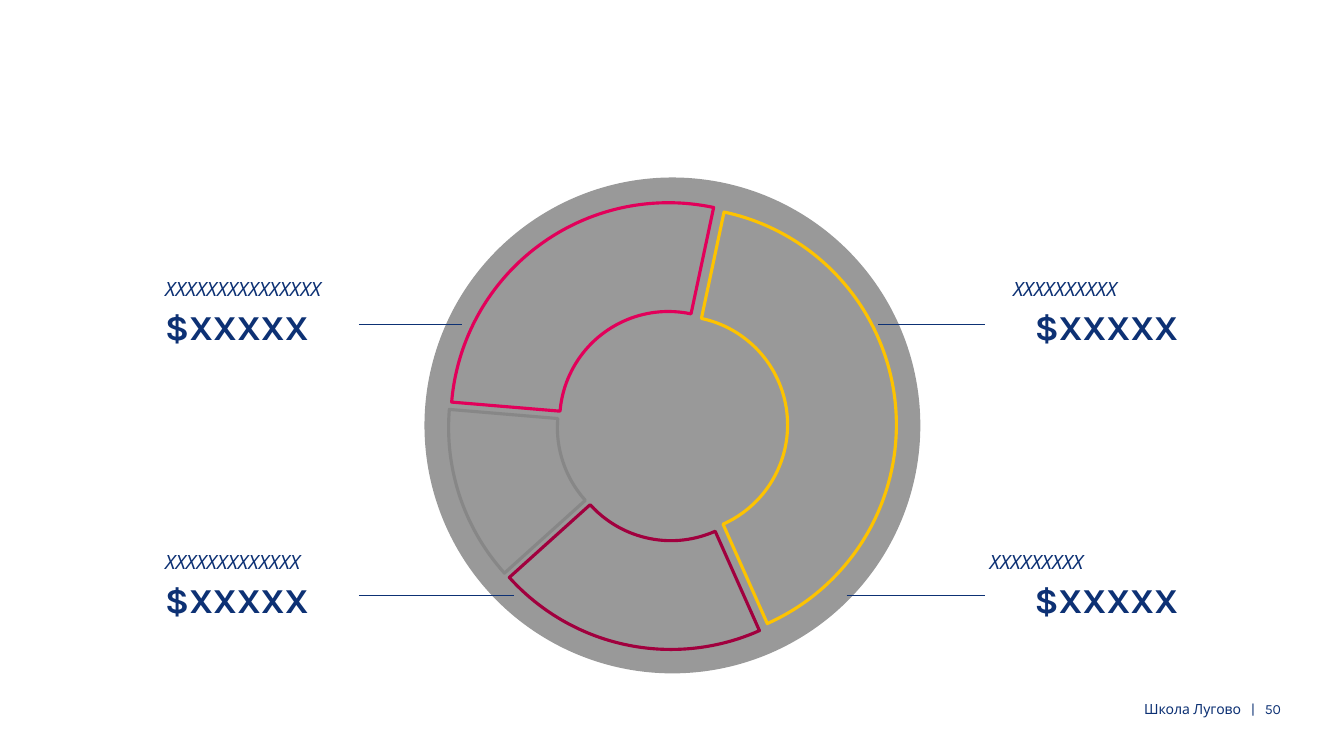
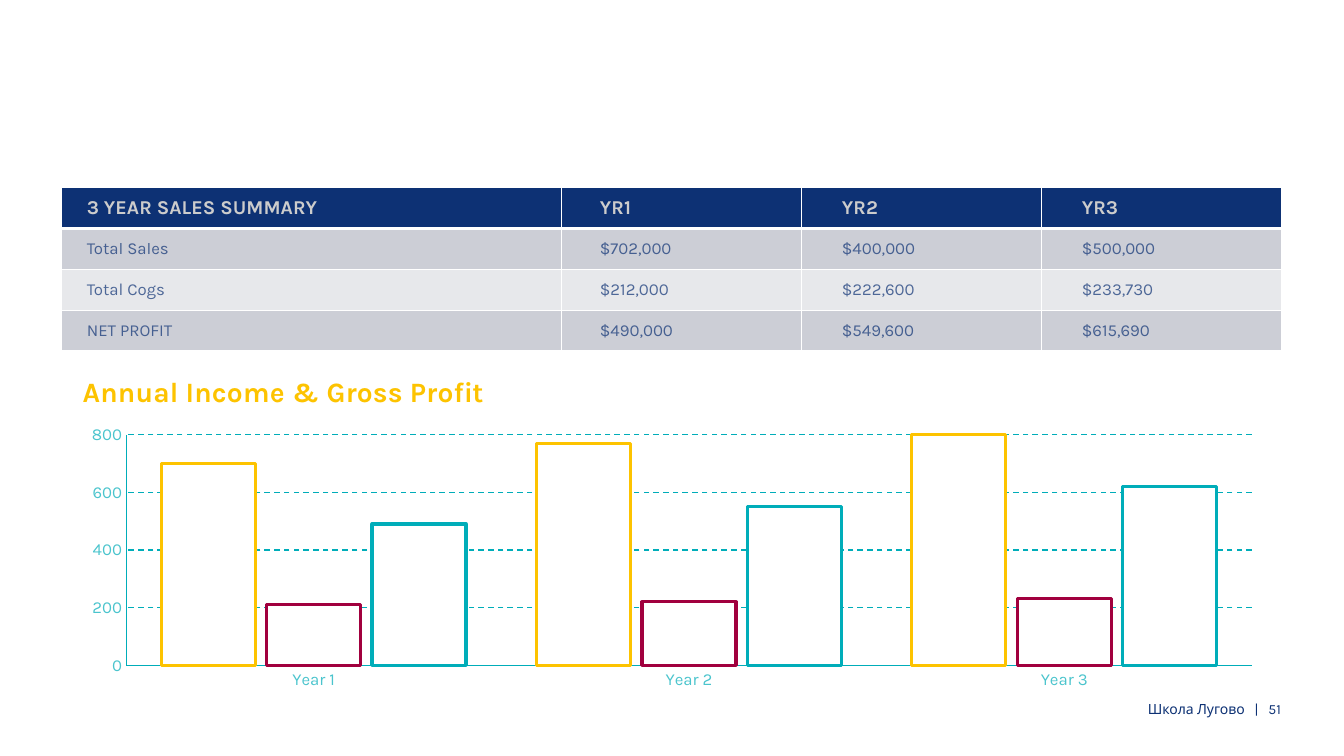
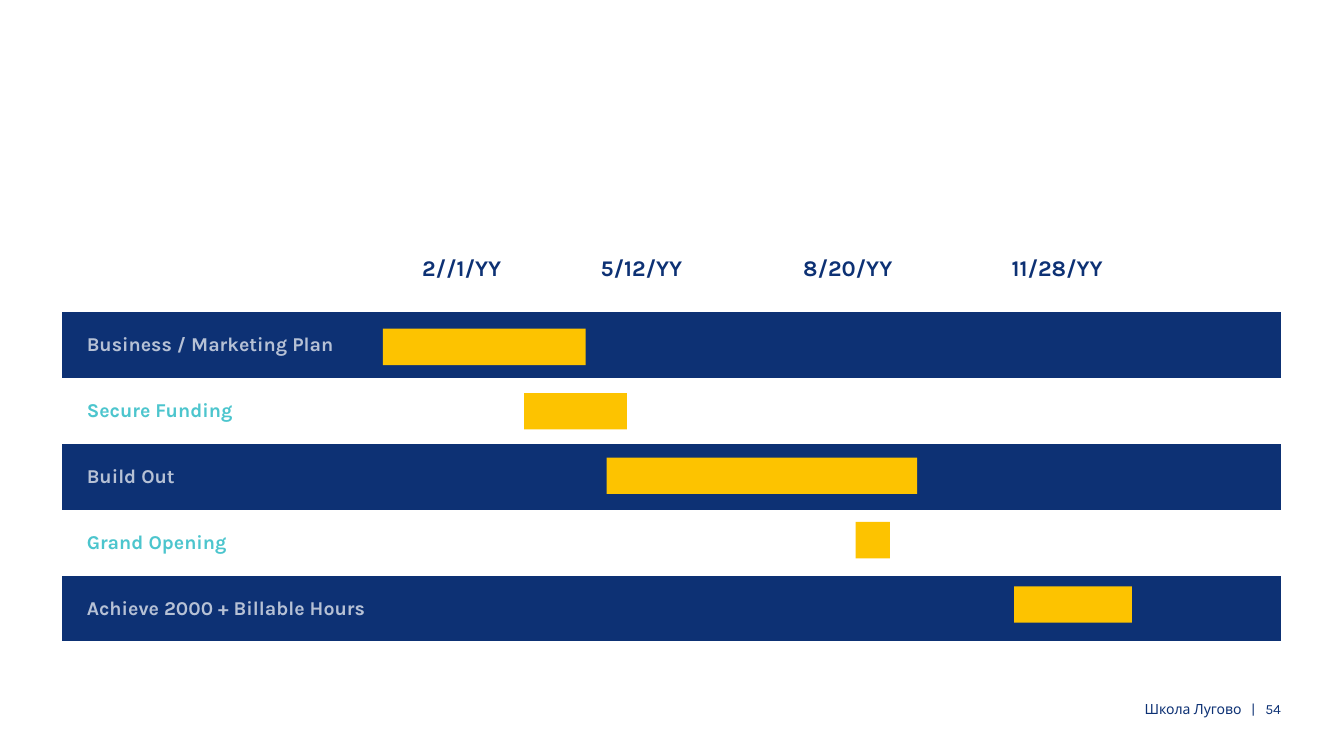
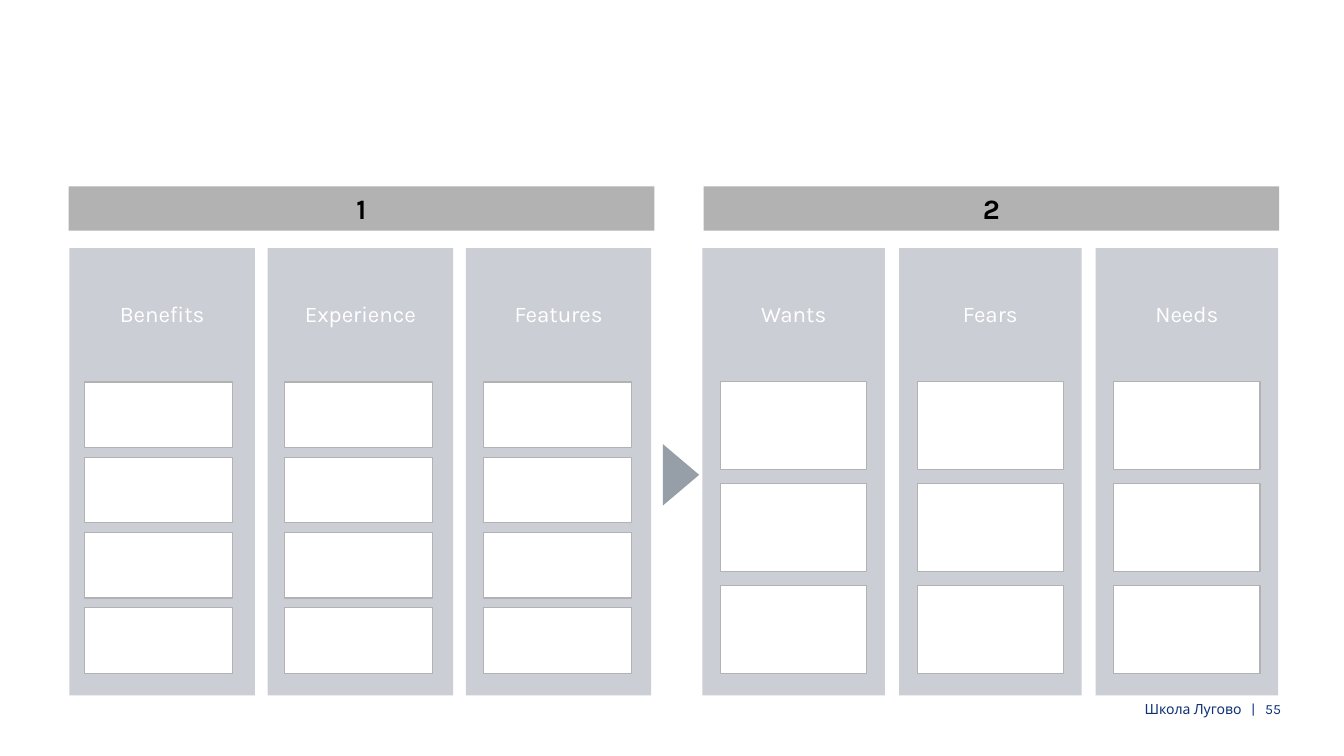
"""Build four template slides: doughnut, sales summary, timeline and value map."""
from dataclasses import dataclass

from lxml import etree
from pptx import Presentation
from pptx.chart.data import CategoryChartData
from pptx.dml.color import RGBColor
from pptx.enum.chart import XL_CHART_TYPE, XL_TICK_MARK
from pptx.enum.dml import MSO_LINE
from pptx.enum.shapes import MSO_CONNECTOR, MSO_SHAPE
from pptx.enum.text import MSO_ANCHOR, PP_ALIGN
from pptx.oxml.ns import qn
from pptx.util import Emu, Inches, Pt

WIDTH, HEIGHT = Emu(12192000), Emu(6858000)
CELL = WIDTH // 48
NO_STYLE = "{2D5ABB26-0587-4C30-8999-92F81FD0307C}"


@dataclass(frozen=True)
class Theme:
    """Colours, type sizes and font shared by the slides."""
    navy: str = "0D3174"
    yellow: str = "FDC300"
    teal: str = "00ADB9"
    wine: str = "A1003E"
    pink: str = "E2005A"
    white: str = "FFFFFF"
    black: str = "000000"
    disc: str = "999999"
    edge: str = "878787"
    bar: str = "B2B2B2"
    arrow: str = "969FA7"
    head_text: str = "CCCCCC"
    panel: str = "CCCED6"
    pale: str = "E7E8EB"
    font: str = "Karla"
    footer: int = 10
    body: int = 12
    label: int = 14
    column: int = 16
    heading: int = 20
    amount: int = 25


T = Theme()


def grid(*cells):
    """Turn grid cells (48 across, 27 down) into lengths."""
    return [Emu(round(c * CELL)) for c in cells]


def spread(start, end, size, n):
    """Return n starts, equally spaced, of items that fill start to end."""
    return [start + i * (end - start - size) / (n - 1) for i in range(n)]


def style(font, color, alpha=None, **values):
    """Set colour, optional opacity and other values on a font."""
    font.color.rgb = RGBColor.from_string(color)
    if alpha:
        clr = font._rPr.find(".//" + qn("a:srgbClr"))
        etree.SubElement(clr, qn("a:alpha")).set("val", str(alpha * 1000))
    for name, value in {"name": T.font, **values}.items():
        setattr(font, name, value)


def outline(line, color, width):
    """Give a line a solid colour and a width in points."""
    line.color.rgb = RGBColor.from_string(color)
    line.width = Pt(width)


def paint(fill, color):
    """Fill with a solid colour, or with nothing."""
    if color:
        fill.solid()
        fill.fore_color.rgb = RGBColor.from_string(color)
    else:
        fill.background()


def frame(tf, insets, anchor=MSO_ANCHOR.TOP):
    """Set wrap, anchor and insets (left, top, right, bottom) of a text frame."""
    sides = ("margin_left", "margin_top", "margin_right", "margin_bottom")
    for name, value in zip(sides, insets):
        setattr(tf, name, Inches(value))
    tf.word_wrap, tf.vertical_anchor = True, anchor


def write(p, text, color, size, align=PP_ALIGN.LEFT, **values):
    """Write one formatted run in a paragraph."""
    p.alignment = align
    r = p.add_run()
    r.text = text
    style(r.font, color, size=Pt(size), **values)


def add_text(shapes, box, insets=(0.1, 0.05, 0.1, 0.05), anchor=MSO_ANCHOR.TOP):
    """Add a text box and return its text frame."""
    tf = shapes.add_textbox(*grid(*box)).text_frame
    frame(tf, insets, anchor)
    return tf


def add_block(shapes, box, color, kind=MSO_SHAPE.RECTANGLE, line=None):
    """Add a filled preset shape without shadow."""
    sp = shapes.add_shape(kind, *grid(*box))
    sp.shadow.inherit = False
    paint(sp.fill, color)
    if line:
        outline(sp.line, line, 0.85)
    else:
        sp.line.fill.background()
    return sp


def add_rule(s, x1, x2, y):
    """Add a thin horizontal line."""
    line = s.shapes.add_connector(MSO_CONNECTOR.STRAIGHT, *grid(x1, y, x2, y))
    outline(line.line, T.navy, 0.75)
    etree.SubElement(line._element.spPr, qn("a:effectLst"))


def add_grid_table(s, left, top, widths, row, n):
    """Add an unstyled table and return it."""
    box = grid(left, top, sum(widths), row * n)
    table = s.shapes.add_table(n, len(widths), *box).table
    table._tbl.tblPr.find(qn("a:tableStyleId")).text = NO_STYLE
    table.first_row = table.horz_banding = False
    for column, width in zip(table.columns, grid(*widths)):
        column.width = width
    for table_row in table.rows:
        table_row.height = grid(row)[0]
    return table


def add_borders(cell, bottom):
    """Draw white cell borders, with its own width at the bottom."""
    tc_pr = cell._tc.get_or_add_tcPr()
    for i, (side, width) in enumerate(zip("LRTB", (1, 1, 1, bottom))):
        ln = etree.Element(qn("a:ln" + side), w=str(Pt(width)))
        fill = etree.SubElement(ln, qn("a:solidFill"))
        etree.SubElement(fill, qn("a:srgbClr"), val=T.white)
        tc_pr.insert(i, ln)


def add_plot(s, box, kind, categories, series):
    """Add a chart without legend and return it."""
    data = CategoryChartData()
    data.categories = categories
    for i, values in enumerate(series, 1):
        data.add_series(f"Series {i}", values)
    chart = s.shapes.add_chart(kind, *grid(*box), data).chart
    chart.has_legend = chart.has_title = False
    style(chart.font, T.white, size=Pt(T.footer))
    chart.plots[0].vary_by_categories = False
    return chart


def chart_layout(parent, index, **shares):
    """Place a chart part by shares of the chart's size."""
    for old in parent.findall(qn("c:layout")):
        parent.remove(old)
    layout = etree.Element(qn("c:layout"))
    manual = etree.SubElement(layout, qn("c:manualLayout"))
    if "w" in shares:
        etree.SubElement(manual, qn("c:layoutTarget"), val="inner")
    for name in "xy":
        etree.SubElement(manual, qn(f"c:{name}Mode"), val="edge")
    for name, value in shares.items():
        etree.SubElement(manual, qn("c:" + name), val=str(value))
    parent.insert(index, layout)


def add_slide(prs, number):
    """Add a blank slide with the common footer."""
    s = prs.slides.add_slide(prs.slide_layouts[6])
    tf = add_text(s.shapes, (36.25, 25.02, 9.5, 1.44), (0, 0, 0, 0))
    write(tf.paragraphs[0], f"Школа Лугово   |   {number}", T.navy, T.footer, PP_ALIGN.RIGHT)
    return s


def add_amount(s, box, caption, align):
    """Add a caption with an amount below it."""
    tf = add_text(s.shapes, box, (0, 0.05, 0, 0))
    write(tf.paragraphs[0], caption, T.navy, T.label, italic=True)
    p = tf.add_paragraph()
    p.space_before = Pt(3.4)
    write(p, "$XXXXX", T.navy, T.amount, align, bold=True)


def doughnut_slide(prs):
    """Build the doughnut with four amounts."""
    s = add_slide(prs, 50)
    add_block(s.shapes, (15.16, 6.34, 17.71, 17.71), T.disc, MSO_SHAPE.OVAL)
    chart = add_plot(s, (9.94, 6.7, 28.15, 17), XL_CHART_TYPE.DOUGHNUT,
                     ["1", "2", "3", "4"], [(40, 20, 13, 27)])
    series = chart.plots[0].series[0]
    series._element.find(qn("c:tx")).addnext(etree.Element(qn("c:explosion"), val="6"))
    for i, color in enumerate((T.yellow, T.wine, T.edge, T.pink)):
        look = series.points[i].format
        paint(look.fill, T.disc)
        outline(look.line, color, 2.25)
    for tag, value in {"c:firstSliceAng": "12", "c:holeSize": "71"}.items():
        chart._chartSpace.find(".//" + qn(tag)).set("val", value)
    upper, lower = 9.72, 19.48
    for x, y, width, caption, align in (
            (36.18, upper, 5.9, "ХХХХХХХХХХ", PP_ALIGN.RIGHT),
            (5.9, lower, 6.34, "ХХХХХХХХХХХХХ", PP_ALIGN.LEFT),
            (35.35, lower, 6.73, "ХХХХХХХХХ", PP_ALIGN.RIGHT),
            (5.9, upper, 7.06, "ХХХХХХХХХХХХХХХ", PP_ALIGN.LEFT)):
        add_amount(s, (x, y, width, 2.77), caption, align)
    for x1, x2, y in ((12.82, 16.49, 11.59), (12.82, 18.36, 21.28),
                      (31.36, 35.17, 11.59), (30.24, 35.17, 21.28)):
        add_rule(s, x1, x2, y)


def sales_table(s):
    """Add the three-year summary table."""
    rows = (("3 YEAR SALES SUMMARY", "YR1", "YR2", "YR3"),
            ("Total Sales", "$702,000", "$400,000", "$500,000"),
            ("Total Cogs", "$212,000", "$222,600", "$233,730"),
            ("NET PROFIT", "$490,000", "$549,600", "$615,690"))
    table = add_grid_table(s, 2.2, 6.7, (17.86, 8.57, 8.57, 8.57), 1.46, len(rows))
    for i, row in enumerate(rows):
        for j, text in enumerate(row):
            cell = table.cell(i, j)
            frame(cell, ((0.25, 0.38, 0.4, 0.4)[j], 0, 0, 0), MSO_ANCHOR.MIDDLE)
            p = cell.text_frame.paragraphs[0]
            if i == 0:
                write(p, text, T.head_text, T.label, bold=True)
            else:
                write(p, text, T.navy, T.body, alpha=70)
            paint(cell.fill, T.navy if i == 0 else (T.pale, T.panel)[i % 2])
            add_borders(cell, 1 if i else 3)


def income_chart(s):
    """Add the clustered columns of income and profit."""
    chart = add_plot(s, (2.34, 12.89, 43.24, 11.95), XL_CHART_TYPE.COLUMN_CLUSTERED,
                     ["Year 1", "Year 2", "Year 3"],
                     [(700, 770, 800), (210, 220, 230), (490, 550, 620)])
    plot = chart.plots[0]
    plot.gap_width, plot.overlap = 75, -12
    for series, color in zip(plot.series, (T.yellow, T.wine, T.teal)):
        paint(series.format.fill, T.white)
        outline(series.format.line, color, 2.25)
    for axis in (chart.category_axis, chart.value_axis):
        axis.major_tick_mark = axis.minor_tick_mark = XL_TICK_MARK.NONE
        style(axis.tick_labels.font, T.teal, alpha=70, size=Pt(T.body))
        outline(axis.format.line, T.teal, 0.75)
    axis = chart.value_axis
    axis.minimum_scale, axis.maximum_scale, axis.major_unit = 0, 800, 200
    outline(axis.major_gridlines.format.line, T.teal, 1)
    axis.major_gridlines.format.line.dash_style = MSO_LINE.DASH
    title = chart.chart_title
    write(title.text_frame.paragraphs[0], "Annual Income & Gross Profit",
          T.yellow, T.heading, bold=True)
    chart_layout(title._element, 1, x=0.01, y=0.02)
    chart_layout(chart._chartSpace.chart.plotArea, 0, x=0.05, y=0.22, w=0.93, h=0.69)


def sales_slide(prs):
    """Build the sales summary."""
    s = add_slide(prs, 51)
    sales_table(s)
    income_chart(s)


def timeline_slide(prs):
    """Build the timeline of tasks."""
    s = add_slide(prs, 54)
    tasks = (("Business / Marketing Plan", 13.68, 7.24), ("Secure Funding", 18.72, 3.67),
             ("Build Out", 21.67, 11.09), ("Grand Opening", 30.56, 1.22),
             ("Achieve 2000 + Billable Hours", 36.22, 4.21))
    table = add_grid_table(s, 2.2, 11.16, (17.86, 8.57, 8.57, 8.57), 2.35, len(tasks))
    for i, (task, x, width) in enumerate(tasks):
        fill, color = ((T.navy, T.white), (None, T.teal))[i % 2]
        for cell in table.rows[i].cells:
            paint(cell.fill, fill)
        cell = table.cell(i, 0)
        frame(cell, (0.25, 0.05, 0.1, 0.05), MSO_ANCHOR.MIDDLE)
        write(cell.text_frame.paragraphs[0], task, color, T.label, alpha=70, bold=True)
        add_block(s.shapes, (x, 11.74 + 2.3 * i, width, 1.3), T.yellow)
    for x, date in ((14.72, "2//1/YY"), (21.1, "5/12/YY"), (28.33, "8/20/YY"), (35.78, "11/28/YY")):
        tf = add_text(s.shapes, (x, 8.89, 5, 1.48))
        write(tf.paragraphs[0], date, T.navy, T.column, bold=True)


def add_columns(s, names, panels, cards, n, height):
    """Add a group of panels, each with a name and n cards; spans are start, end, width."""
    shapes = s.shapes.add_group_shape().shapes
    top = 8.86
    for name, x, card_x in zip(names, spread(*panels, len(names)), spread(*cards, len(names))):
        add_block(shapes, (x, top, panels[2], 15.98), T.panel)
        tf = add_text(shapes, (x, top, panels[2], 4.79), (0.07,) * 4, MSO_ANCHOR.MIDDLE)
        tf.paragraphs[0].line_spacing = 0.9
        write(tf.paragraphs[0], name, T.white, T.column, PP_ALIGN.CENTER)
        for y in spread(13.64, 24.05, height, n):
            add_block(shapes, (card_x, y, cards[2], height), T.white, line=T.bar)


def value_slide(prs):
    """Build the two-part value map."""
    s = add_slide(prs, 55)
    for number, x, width in (("1", 2.45, 20.92), ("2", 25.13, 20.56)):
        tf = add_block(s.shapes, (x, 6.66, width, 1.58), T.bar).text_frame
        frame(tf, (0.1, 0.05, 0.1, 0.05), MSO_ANCHOR.MIDDLE)
        write(tf.paragraphs[0], number, T.black, T.heading, PP_ALIGN.CENTER, bold=True)
    arrow = add_block(s.shapes, (23.22, 16.31, 2.2, 1.3), T.arrow, MSO_SHAPE.ISOSCELES_TRIANGLE)
    arrow.rotation = 90
    add_columns(s, ("Wants", "Fears", "Needs"),
                (25.09, 45.65, 6.52), (25.74, 45, 5.22), 3, 3.13)
    add_columns(s, ("Benefits", "Experience", "Features"),
                (2.48, 23.26, 6.62), (3.02, 22.57, 5.29), 4, 2.34)


def main():
    """Build and save the presentation."""
    prs = Presentation()
    prs.slide_width, prs.slide_height = WIDTH, HEIGHT
    for build in (doughnut_slide, sales_slide, timeline_slide, value_slide):
        build(prs)
    prs.save("out.pptx")


if __name__ == "__main__":
    main()
